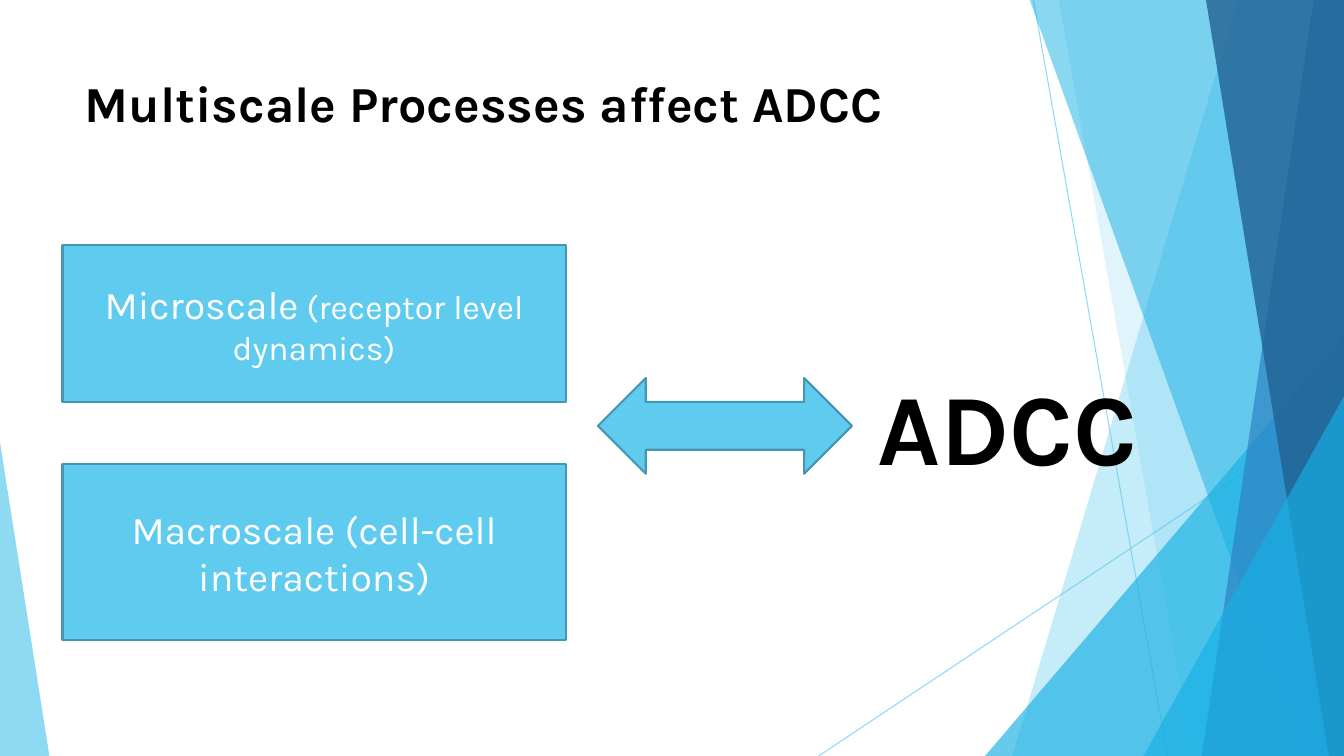
"""Build the slide on multiscale processes that affect ADCC."""
from lxml import etree
from pptx import Presentation
from pptx.dml.color import RGBColor
from pptx.enum.shapes import MSO_CONNECTOR, MSO_SHAPE
from pptx.enum.text import MSO_ANCHOR, PP_ALIGN
from pptx.oxml.ns import qn
from pptx.util import Inches, Pt

SKY, CYAN, BLUE, NAVY, EDGE = "5FCBEF", "17B0E4", "2E83C3", "226292", "4696B1"
W, H, TOP = 13.33, 7.5, -0.01


def paint(fill, color, alpha=100):
    fill.solid()
    fill.fore_color.rgb = RGBColor.from_string(color)
    if alpha < 100:
        clr = fill._xPr.find(".//" + qn("a:srgbClr"))
        etree.SubElement(clr, qn("a:alpha"), val=str(alpha * 1000))


def add_runs(tf, runs, color, bold=False, align=PP_ALIGN.LEFT):
    tf.word_wrap = True
    p = tf.paragraphs[0]
    p.alignment = align
    for text, size in runs:
        r = p.add_run()
        r.text = text
        r.font.name = "Karla"
        r.font.size = Pt(size)
        r.font.bold = bold
        r.font.color.rgb = RGBColor.from_string(color)


prs = Presentation()
prs.slide_width, prs.slide_height = Inches(W), Inches(H)
slide = prs.slides.add_slide(prs.slide_layouts[6])
shapes = slide.shapes

for x1, y1, x2, y2 in [(10.25, 0, 11.58, H), (W, 4.03, 8.12, H)]:
    line = shapes.add_connector(
        MSO_CONNECTOR.STRAIGHT, Inches(x1), Inches(y1), Inches(x2), Inches(y2))
    line.line.width = Pt(0.75)
    paint(line.line.fill, SKY, 70)
    etree.SubElement(line._element.spPr, qn("a:effectLst"))

facets = [
    ([(12.28, TOP), (W, TOP), (W, H), (10.04, H)], SKY, 36),
    ([(10.5, TOP), (W, TOP), (W, H), (11.83, H)], SKY, 20),
    ([(W, 3.33), (W, H), (9.77, H)], CYAN, 66),
    ([(10.21, TOP), (W, TOP), (W, H), (12.91, H)], CYAN, 50),
    ([(13.03, TOP), (W, TOP), (W, H), (11.92, H)], BLUE, 70),
    ([(11.96, TOP), (W, TOP), (W, H), (13.18, H)], NAVY, 80),
    ([(W, 3.93), (W, H), (11.34, H)], CYAN, 66),
    ([(0, 4.39), (0.49, H), (0, H)], SKY, 70),
]
for corners, color, alpha in facets:
    start, *rest = [(Inches(x), Inches(y)) for x, y in corners]
    builder = shapes.build_freeform(*start)
    builder.add_line_segments(rest, close=True)
    sp = builder.convert_to_shape()
    sp.shadow.inherit = False
    paint(sp.fill, color, alpha)
    sp.line.fill.background()

blocks = [
    (MSO_SHAPE.RECTANGLE, (0.62, 4.6, 4.99, 1.75),
     [("Macroscale (cell-cell interactions)", 28)]),
    (MSO_SHAPE.RECTANGLE, (0.62, 2.43, 4.99, 1.56),
     [("Microscale", 28), (" (receptor level dynamics)", 24)]),
    (MSO_SHAPE.LEFT_RIGHT_ARROW, (5.93, 3.75, 2.52, 0.95), []),
]
for kind, box, runs in blocks:
    sp = shapes.add_shape(kind, *map(Inches, box))
    sp.shadow.inherit = False
    paint(sp.fill, SKY)
    paint(sp.line.fill, EDGE)
    sp.line.width = Pt(1.5)
    sp.text_frame.vertical_anchor = MSO_ANCHOR.MIDDLE
    add_runs(sp.text_frame, runs, "FFFFFF", align=PP_ALIGN.CENTER)

for box, text, size in [
    ((0.74, 0.67, 9.4, 1.44), "Multiscale Processes affect ADCC", 36),
    ((8.6, 3.57, 3.08, 1.31), "ADCC", 72),
]:
    sp = shapes.add_textbox(*map(Inches, box))
    add_runs(sp.text_frame, [(text, size)], "000000", bold=True)

prs.save("out.pptx")
